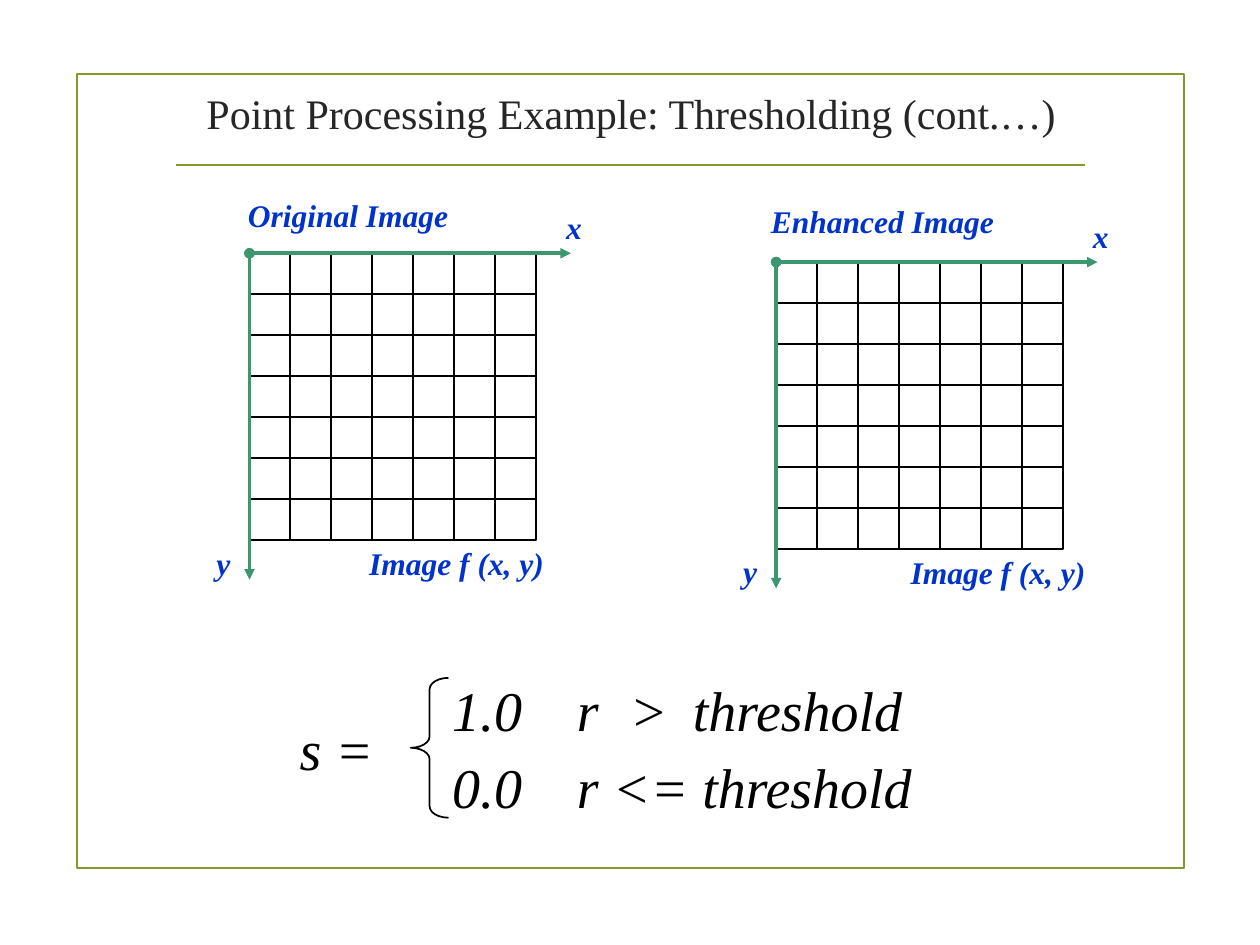
import dataclasses
import itertools

import lxml.etree
import pptx
import pptx.dml.color
import pptx.enum.shapes
import pptx.enum.text
import pptx.oxml.ns
import pptx.util

FONT = "Times New Roman"
BLACK, WHITE, OLIVE, GREEN, BLUE = "000000", "FFFFFF", "83992A", "3C9770", "0033CC"
SHAPE = pptx.enum.shapes.MSO_SHAPE
CELLS = 7


@dataclasses.dataclass
class Grid:
    """Square grid whose lengths are counted in columns and rows."""
    left: float
    top: float
    cell: float

    def point(self, column, row):
        """Return the slide position of a grid point."""
        return (pptx.util.Inches(self.left + column * self.cell),
                pptx.util.Inches(self.top + row * self.cell))

    def box(self, column, row, columns, rows):
        """Return left, top, width and height of a block of cells."""
        return (*self.point(column, row), pptx.util.Inches(columns * self.cell),
                pptx.util.Inches(rows * self.cell))


def rgb(value):
    """Turn a hex string into a colour."""
    return pptx.dml.color.RGBColor.from_string(value)


def add_child(parent, tag, **attributes):
    """Append a DrawingML element with its attributes."""
    return lxml.etree.SubElement(parent, pptx.oxml.ns.qn(tag), attributes)


def add_outline(shapes, kind, box, color, width, fill=None):
    """Add a preset shape with a line and an optional fill."""
    shape = shapes.add_shape(kind, *box)
    shape.shadow.inherit = False
    shape.line.color.rgb = rgb(color)
    shape.line.width = pptx.util.Pt(width)
    if fill:
        shape.fill.solid()
        shape.fill.fore_color.rgb = rgb(fill)
    else:
        shape.fill.background()
    return shape


def add_line(shapes, start, end, color, width, arrow=False):
    """Add a straight line, or an axis with a dot and an arrowhead."""
    connector = shapes.add_connector(
        pptx.enum.shapes.MSO_CONNECTOR.STRAIGHT, *start, *end)
    connector.line.color.rgb = rgb(color)
    connector.line.width = pptx.util.Pt(width)
    if arrow:
        line = connector.line._get_or_add_ln()
        add_child(line, "a:headEnd", type="oval")
        add_child(line, "a:tailEnd", type="triangle")
    add_child(connector._element.spPr, "a:effectLst")


def add_text(shapes, text, box, size=18, color=BLUE, bold=False, italic=True,
             wrap=False, centered=False, tabs=()):
    """Add a one-paragraph text box, with tab stops in inches."""
    frame = shapes.add_textbox(*box).text_frame
    frame.word_wrap = wrap
    paragraph = frame.paragraphs[0]
    if centered:
        frame.vertical_anchor = pptx.enum.text.MSO_ANCHOR.MIDDLE
        paragraph.alignment = pptx.enum.text.PP_ALIGN.CENTER
    if tabs:
        tab_list = add_child(paragraph._p.get_or_add_pPr(), "a:tabLst")
        for tab in tabs:
            add_child(tab_list, "a:tab", pos=str(pptx.util.Inches(tab)), algn="l")
    run = paragraph.add_run()
    run.text = text
    run.font.name = FONT
    run.font.size = pptx.util.Pt(size)
    run.font.bold = bold
    run.font.italic = italic
    run.font.color.rgb = rgb(color)


def add_header(shapes, grid):
    """Place the page frame, the title and its rule."""
    add_outline(shapes, SHAPE.RECTANGLE, grid.box(6.1, 5.9, 87.9, 63), OLIVE, 1.25)
    add_line(shapes, grid.point(14, 13.1), grid.point(86.1, 13.1), OLIVE, 1.25)
    add_text(shapes, "Point Processing Example: Thresholding (cont.…)",
             grid.box(12.9, 5.2, 74.4, 7.5), size=24, color="262626",
             italic=False, wrap=True, centered=True)


def add_pixel_grid(shapes, grid, heading, heading_box, caption_column):
    """Place a square of pixels with its axes and labels."""
    for row, column in itertools.product(range(CELLS), repeat=2):
        add_outline(shapes, SHAPE.RECTANGLE, grid.box(column, row, 1, 1),
                    BLACK, 1, WHITE)
    for end in ((7.85, 0), (0, 7.97)):
        add_line(shapes, grid.point(0, 0), grid.point(*end), GREEN, 2, arrow=True)
    labels = (
        (heading, heading_box),
        ("x", (7.43, -1.26, 1, 1.23)),
        ("y", (-1.11, 6.94, 0.95, 1.23)),
        ("Image f (x, y)", (caption_column, 6.95, 4.9, 1.23)),
    )
    for text, box in labels:
        add_text(shapes, text, grid.box(*box), bold=True)


def add_formula(shapes, grid):
    """Place the threshold formula with its two cases."""
    style = {"size": 32, "color": BLACK}
    add_text(shapes, "s =", grid.box(0, 3.1, 9, 6.3), **style)
    brace = add_outline(shapes, SHAPE.LEFT_BRACE, grid.box(9.8, 0.7, 3, 11.1), BLACK, 1)
    brace.adjustments[0] = 0.3
    cases = (
        ("1.0\tr\t>\tthreshold", 0, (0.99, 1.41, 1.91)),
        ("0.0\tr <= threshold", 6.1, (0.99,)),
    )
    for text, row, tabs in cases:
        add_text(shapes, text, grid.box(12.1, row, 41.9, 6.3), wrap=True,
                 tabs=tabs, **style)


def main():
    """Build the thresholding slide."""
    presentation = pptx.Presentation()
    presentation.slide_width = pptx.util.Inches(10)
    presentation.slide_height = pptx.util.Inches(7.5)
    slide = presentation.slides.add_slide(presentation.slide_layouts[6])
    add_header(slide.shapes, Grid(0, 0, 0.1))
    add_pixel_grid(slide.shapes.add_group_shape().shapes, Grid(1.98, 2.01, 0.325),
                   "Original Image", (-0.34, -1.54, 5.5, 1.23), 2.62)
    add_pixel_grid(slide.shapes.add_group_shape().shapes, Grid(6.16, 2.08, 0.325),
                   "Enhanced Image", (-0.43, -1.63, 6.06, 1.23), 2.98)
    add_formula(slide.shapes.add_group_shape().shapes, Grid(2.28, 5.31, 0.1))
    presentation.save("out.pptx")


if __name__ == "__main__":
    main()
